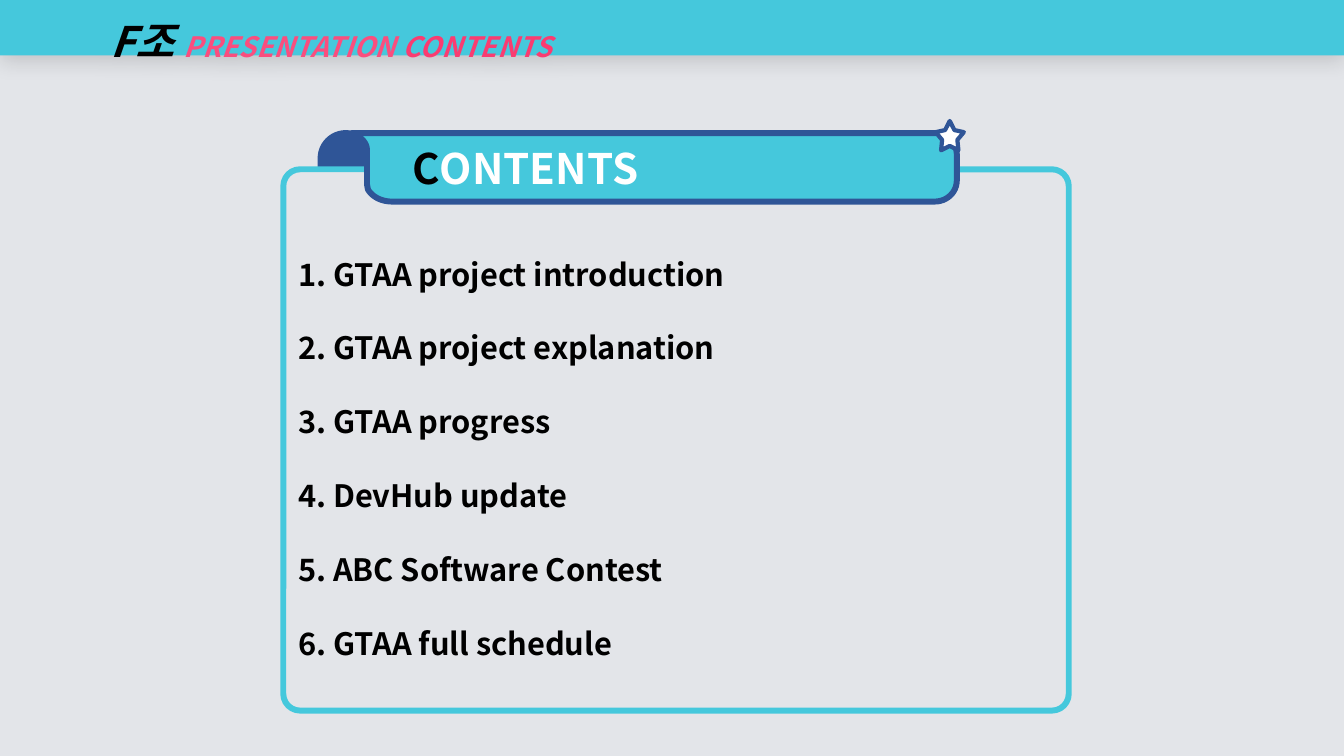
from dataclasses import dataclass

from lxml.etree import SubElement
from pptx import Presentation
from pptx.dml.color import RGBColor
from pptx.enum.shapes import MSO_SHAPE as SHAPE
from pptx.enum.text import MSO_ANCHOR as ANCHOR, MSO_AUTO_SIZE as AUTO, PP_ALIGN as ALIGN
from pptx.oxml.ns import qn
from pptx.util import Inches, Pt


@dataclass(frozen=True)
class Theme:
    font: str = "Noto Sans CJK KR"
    background: str = "E3E5E9"
    cyan: str = "45C8DC"
    navy: str = "2F5597"
    black: str = "000000"
    white: str = "FFFFFF"
    pink: str = "FA4E7E"
    deep_pink: str = "FA3C71"
    heading: float = 30
    subheading: float = 20
    item: float = 22
    border: float = 4.25
    star_border: float = 3


def bezier(start, c1, c2, end, steps=12):
    """Points along a cubic curve, without its start."""
    for i in range(1, steps + 1):
        t = i / steps
        u = 1 - t
        yield tuple(u**3 * a + 3 * u * u * t * b + 3 * u * t * t * c + t**3 * d
                    for a, b, c, d in zip(start, c1, c2, end))


class SlideBuilder:
    def __init__(self, prs, theme):
        self.theme = theme
        self.slide = prs.slides.add_slide(prs.slide_layouts[5])
        fill = self.slide.background.fill
        fill.solid()
        fill.fore_color.rgb = RGBColor.from_string(theme.background)

    def paint(self, sp, fill, line=None, width=None):
        sp.shadow.inherit = False
        sp.fill.solid()
        sp.fill.fore_color.rgb = RGBColor.from_string(fill)
        if line:
            sp.line.color.rgb = RGBColor.from_string(line)
            sp.line.width = Pt(width or self.theme.border)
        else:
            sp.line.fill.background()
        return sp

    def shape(self, kind, box, fill, line, width=None, adjustments=()):
        sp = self.slide.shapes.add_shape(kind, *map(Inches, box))
        for i, value in enumerate(adjustments):
            sp.adjustments[i] = value
        return self.paint(sp, fill, line, width)

    def outline(self, start, steps, fill, line):
        """Each step holds one point for a line, or three for a curve."""
        points = [start]
        for step in steps:
            points += bezier(points[-1], *step) if len(step) == 3 else step
        emu = [(Inches(x), Inches(y)) for x, y in points]
        builder = self.slide.shapes.build_freeform(*emu[0])
        builder.add_line_segments(emu[1:], close=True)
        return self.paint(builder.convert_to_shape(), fill, line)

    def text(self, sp, paragraphs, spacing=1.0, indent=0.0, italic=False):
        """Each paragraph is a list of (text, size, colour) runs."""
        tf = sp.text_frame
        tf.word_wrap = True
        tf.auto_size = AUTO.NONE
        tf.vertical_anchor = ANCHOR.MIDDLE
        tf.margin_left = Inches(0.1 + indent)
        for i, runs in enumerate(paragraphs):
            p = tf.add_paragraph() if i else tf.paragraphs[0]
            p.alignment = ALIGN.LEFT
            p.line_spacing = spacing
            p.font.name = self.theme.font
            p.font.bold = True
            p.font.italic = italic
            SubElement(p.font._element, qn("a:ea"), typeface=self.theme.font)
            for text, size, colour in runs:
                r = p.add_run()
                r.text = text
                r.font.size = Pt(size)
                r.font.color.rgb = RGBColor.from_string(colour)

    def title_bar(self, box, fill, runs):
        sp = self.slide.shapes.title
        sp.left, sp.top, sp.width, sp.height = map(Inches, box)
        self.paint(sp, fill)
        self.text(sp, [runs], spacing=1.5, indent=1, italic=True)
        # Soft shadow straight below the bar
        effects = sp._element.spPr.find(qn("a:effectLst"))
        shadow = SubElement(effects, qn("a:outerShdw"), blurRad=str(Pt(15)),
                            dist=str(Pt(3)), dir="5400000", algn="t", rotWithShape="0")
        colour = SubElement(shadow, qn("a:srgbClr"), val=self.theme.black)
        SubElement(colour, qn("a:alpha"), val="15000")


def main():
    theme = Theme()
    prs = Presentation()
    prs.slide_width, prs.slide_height = Inches(13.33), Inches(7.5)
    page = SlideBuilder(prs, theme)

    # Title bar
    page.title_bar((0, 0, 13.33, 0.55), theme.cyan, [
        ("F조 ", theme.heading, theme.black),
        ("PRESENTATION ", theme.subheading, theme.pink),
        ("CONTENTS", theme.subheading, theme.deep_pink),
    ])

    # Folded end of the ribbon, behind the panel
    page.shape(SHAPE.ROUND_2_SAME_RECTANGLE, (3.18, 1.32, 0.5, 0.98),
               theme.navy, theme.navy, adjustments=(0.5, 0))

    # Contents panel
    panel = page.shape(SHAPE.ROUNDED_RECTANGLE, (2.81, 1.68, 7.79, 5.37),
                       theme.background, theme.cyan, adjustments=(0.031,))
    items = ("GTAA project introduction", "GTAA project explanation", "GTAA progress",
             "DevHub update", "ABC Software Contest", "GTAA full schedule")
    page.text(panel, [[(f"{n}. {item}", theme.item, theme.black)]
                      for n, item in enumerate(items, 1)], spacing=2.0)

    # Ribbon
    ribbon = page.outline((3.49, 1.32), [
        [(9.27, 1.32)],
        [(9.39, 1.32), (9.49, 1.42), (9.49, 1.53)],
        [(9.49, 1.79)],
        [(9.49, 1.91), (9.39, 2), (9.27, 2)],
        [(3.89, 2)],
        [(3.78, 2), (3.69, 1.95), (3.65, 1.88)],
        [(3.64, 1.83)],
        [(3.64, 1.49)],
        [(3.64, 1.43), (3.6, 1.37), (3.53, 1.35)],
        [(3.49, 1.34)],
    ], theme.cyan, theme.navy)
    page.text(ribbon, [[("C", theme.heading, theme.black),
                        ("ONTENTS", theme.heading, theme.white)]], indent=0.5)

    # Star on the ribbon's corner
    page.shape(SHAPE.STAR_5_POINT, (9.28, 1.2, 0.28, 0.29), theme.white, theme.navy,
               theme.star_border, adjustments=(0.27, 1.05, 1.11))

    prs.save("out.pptx")


if __name__ == "__main__":
    main()
